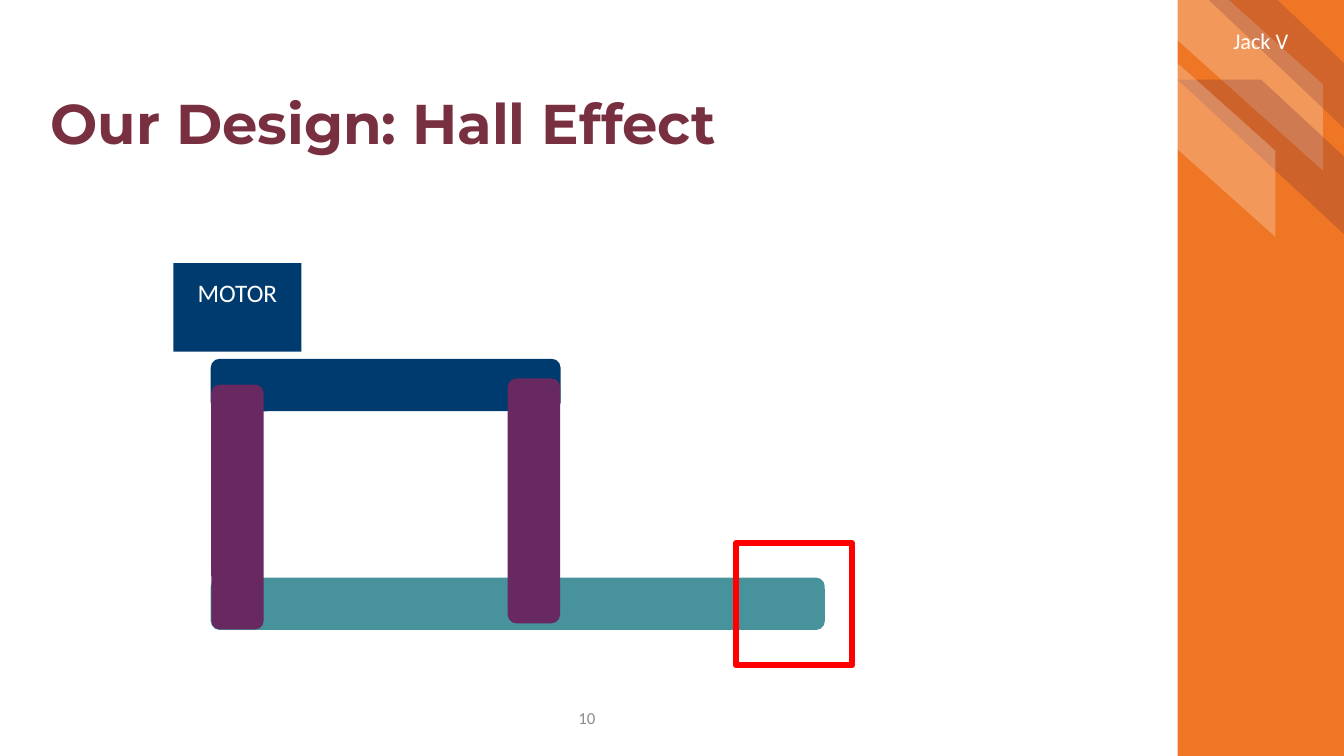
from lxml.etree import SubElement
from pptx import Presentation
from pptx.dml.color import RGBColor
from pptx.enum.shapes import MSO_SHAPE as Shape
from pptx.enum.text import MSO_ANCHOR as Anchor, MSO_AUTO_SIZE as AutoSize, PP_ALIGN as Align
from pptx.oxml.ns import qn
from pptx.util import Inches, Pt

# Content: boxes are left, top, width, height in inches
TITLE = ("Our Design: Hall Effect", (0.5, 0.5, 10.67, 1.05))
SPEAKER = ("Jack V", (11.67, 0, 1.67, 0.83))
PAGE_NUMBER = ("10", (5.42, 6.97, 0.8, 0.3))
MOTOR = ("MOTOR", (1.72, 2.61, 1.27, 0.88))
SIDE_BAND = (11.68, 0, 1.66, 7.5)
SENSOR_FRAME = (7.3, 5.39, 1.15, 1.21)

# Box, colour, opacity in percent, stripe adjustment
STRIPES = [
    ((11.21, -0.02, 1.91, 1.71), "white", 25, 0.5),
    ((11.68, 0.79, 1.68, 1.56), "garnet", 28, 0.507),
    ((10.74, 0.64, 1.91, 1.71), "white", 25, 0.5),
    ((11.99, 0, 1.36, 1.29), "garnet", 25, 0.5),
]
# Box, colour, rotation
BEAMS = [
    ((2.09, 3.56, 3.47, 0.52), "navy", 0),
    ((2.09, 5.73, 6.09, 0.52), "teal", 0),
    ((1.14, 4.77, 2.43, 0.52), "plum", 90),
    ((4.08, 4.71, 2.43, 0.52), "plum", 90),
]

THEME = {
    "colors": {
        "orange": "EE7624", "garnet": "782F40", "white": "FFFFFF", "navy": "003B6F",
        "teal": "48929B", "plum": "682860", "red": "FF0000", "gray": "8C8C8C",
    },
    "title": {"name": "Montserrat", "size": Pt(40), "bold": True},
    "speaker": {"name": "Calibri", "size": Pt(16)},
    "motor": {"name": "Calibri", "size": Pt(18)},
    "number": {"name": "Calibri", "size": Pt(12)},
}


def color(name):
    return RGBColor.from_string(THEME["colors"][name])


def inches(box):
    return [Inches(value) for value in box]


def add_block(slide, kind, box, fill=None):
    shape = slide.shapes.add_shape(kind, *inches(box))
    shape.shadow.inherit = False
    shape.line.fill.background()
    if fill:
        shape.fill.solid()
        shape.fill.fore_color.rgb = color(fill)
    else:
        shape.fill.background()
    return shape


def add_stripe(slide, box, fill, opacity, adjustment):
    stripe = add_block(slide, Shape.DIAGONAL_STRIPE, box, fill)
    stripe.adjustments[0] = adjustment
    properties = stripe.element.spPr
    properties.find(qn("a:xfrm")).set("flipH", "1")
    fill_color = properties.find(qn("a:solidFill")).find(qn("a:srgbClr"))
    SubElement(fill_color, qn("a:alpha")).set("val", str(opacity * 1000))


def write(shape, text, style, ink, align=Align.CENTER, anchor=Anchor.MIDDLE,
          bullet_free=False, spacing=1.0, **margins):
    frame = shape.text_frame
    frame.text = text
    frame_format = {"word_wrap": True, "auto_size": AutoSize.NONE,
                    "vertical_anchor": anchor, **margins}
    for name, value in frame_format.items():
        setattr(frame, name, value)
    paragraph = frame.paragraphs[0]
    if bullet_free:
        properties = paragraph._p.get_or_add_pPr()
        properties.set("marL", "0")
        properties.set("indent", "0")
        SubElement(properties, qn("a:buNone"))
    for name, value in {"alignment": align, "line_spacing": spacing,
                        "space_before": Pt(0)}.items():
        setattr(paragraph, name, value)
    for name, value in THEME[style].items():
        setattr(paragraph.font, name, value)
    paragraph.font.color.rgb = color(ink)


def place(slide, placeholder, box):
    for name, value in zip(("left", "top", "width", "height"), inches(box)):
        setattr(placeholder, name, value)
    # Bring the placeholder in front of the side band
    slide.shapes._spTree.append(placeholder.element)


def main():
    presentation = Presentation()
    presentation.slide_width, presentation.slide_height = Inches(13.33), Inches(7.5)
    slide = presentation.slides.add_slide(presentation.slide_layouts[1])

    # Side band with diagonal stripes
    add_block(slide, Shape.RECTANGLE, SIDE_BAND, "orange")
    for stripe in STRIPES:
        add_stripe(slide, *stripe)

    # Page number, title and speaker
    text, box = PAGE_NUMBER
    write(slide.shapes.add_textbox(*inches(box)), text, "number", "gray")
    text, box = TITLE
    title = slide.shapes.title
    place(slide, title, box)
    write(title, text, "title", "garnet", Align.LEFT, Anchor.BOTTOM, spacing=0.9,
          margin_left=0, margin_top=0, margin_right=0, margin_bottom=0)
    text, box = SPEAKER
    speaker = slide.placeholders[1]
    place(slide, speaker, box)
    write(speaker, text, "speaker", "white", bullet_free=True, spacing=0.9)

    # Motor, with its label raised above the middle
    text, box = MOTOR
    motor = add_block(slide, Shape.RECTANGLE, box, "navy")
    write(motor, text, "motor", "white", margin_bottom=Inches(0.35))

    # Beams and posts
    for box, fill, rotation in BEAMS:
        beam = add_block(slide, Shape.FLOWCHART_ALTERNATE_PROCESS, box, fill)
        beam.rotation = rotation

    # Frame around the sensor end
    frame = add_block(slide, Shape.RECTANGLE, SENSOR_FRAME)
    frame.line.color.rgb = color("red")
    frame.line.width = Pt(4.5)

    presentation.save("out.pptx")


if __name__ == "__main__":
    main()
